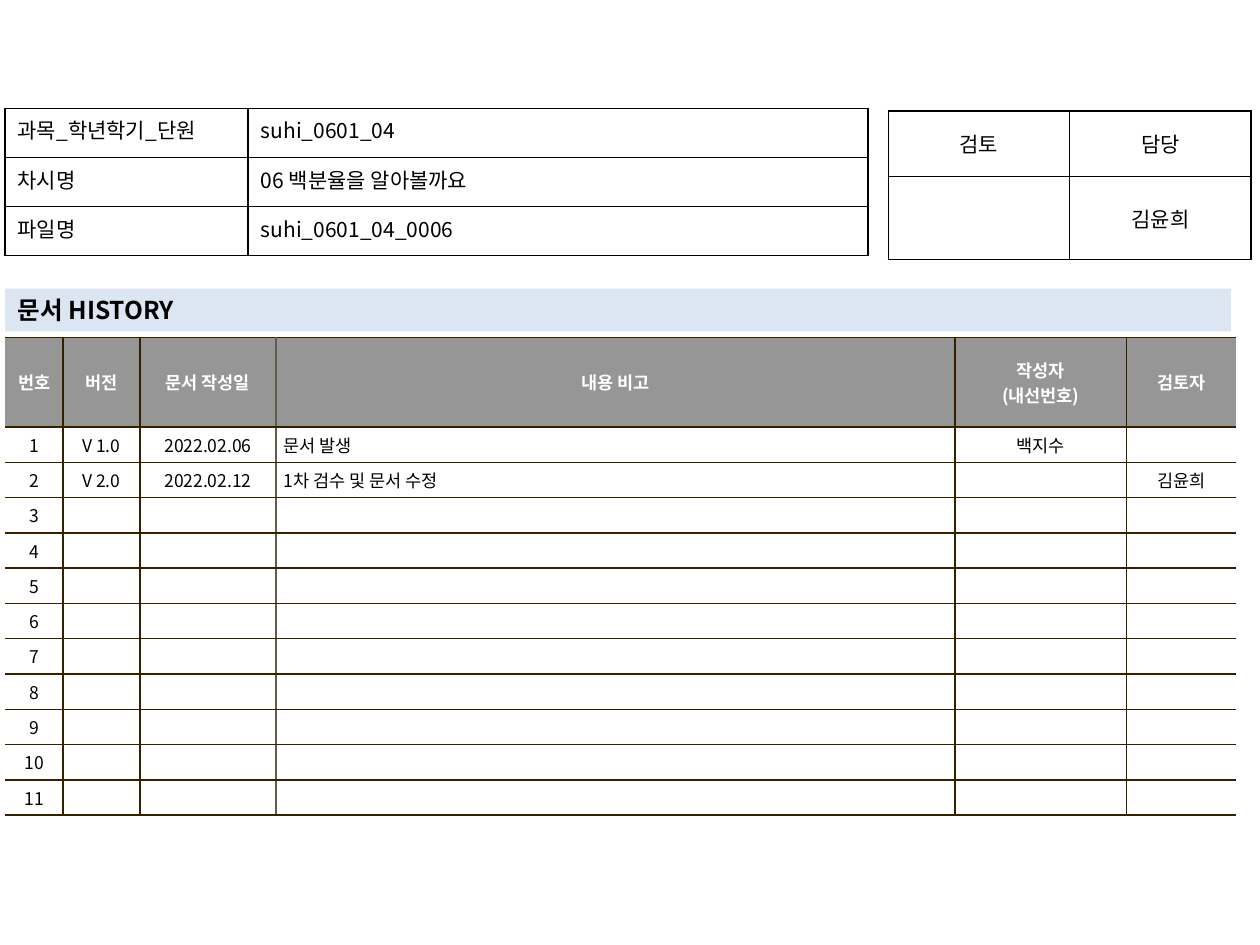
"""Build the document history slide with its info, review and history tables."""
from lxml import etree
from pptx import Presentation
from pptx.dml.color import RGBColor
from pptx.enum.text import MSO_ANCHOR, MSO_AUTO_SIZE, PP_ALIGN
from pptx.oxml.ns import qn
from pptx.util import Inches, Pt

LEFT, MID, JUST = PP_ALIGN.LEFT, PP_ALIGN.CENTER, PP_ALIGN.JUSTIFY
TOP, CENTER = MSO_ANCHOR.TOP, MSO_ANCHOR.MIDDLE
FIT = MSO_AUTO_SIZE.NONE
FONT = "Noto Sans CJK KR"
HUES = {"ink": "000000", "paper": "FFFFFF", "head": "969696",
        "band": "DCE6F2", "rule": "362000", "soft": "645B4C"}

TITLE = "문서 HISTORY"
INFO = [("과목_학년학기_단원", "suhi_0601_04"),
        ("차시명", "06 백분율을 알아볼까요"),
        ("파일명", "suhi_0601_04_0006")]
REVIEW = [("검토", "담당"), ("", "김윤희")]
HEADS = ("번호", "버전", "문서 작성일", "내용 비고", "작성자\n(내선번호)", "검토자")
NOTES = [("V 1.0", "2022.02.06", "문서 발생", "백지수", ""),
         ("V 2.0", "2022.02.12", "1차 검수 및 문서 수정", "", "김윤희")]
COUNT = 11
EDGE = 0.04


def rgb(hue):
    return RGBColor.from_string(HUES[hue])


def write(frame, text, size=12, hue="ink", bold=False, align=LEFT):
    for i, line in enumerate(text.split("\n")):
        para = frame.add_paragraph() if i else frame.paragraphs[0]
        para.alignment = align
        if not line:
            etree.SubElement(para._p, qn("a:endParaRPr"), sz=str(size * 100))
            continue
        run = para.add_run()
        run.text = line
        font = run.font
        font.size, font.bold, font.name = Pt(size), bold, FONT
        font.color.rgb = rgb(hue)
        etree.SubElement(run._r.get_or_add_rPr(), qn("a:ea"), typeface=FONT)


def border(cell, hues):
    for side, hue in zip("LRTB", hues):
        line = etree.SubElement(cell._tc.get_or_add_tcPr(),
                                qn("a:ln" + side), w=str(Pt(1)))
        if hue:
            fill = etree.SubElement(line, qn("a:solidFill"))
            etree.SubElement(fill, qn("a:srgbClr"), val=HUES[hue])
        else:
            etree.SubElement(line, qn("a:noFill"))


def grid(slide, rows, spot, wide, high, rules, pad, style):
    """Add a table; rules lists the hue of each upright line and then the level one."""
    shape = slide.shapes.add_table(len(rows), len(wide), *map(Inches, spot),
                                   Inches(sum(wide)), Inches(sum(high)))
    table = shape.table
    table.first_row = table.horz_banding = False
    for col, size in zip(table.columns, wide):
        col.width = Inches(size)
    for row, size in zip(table.rows, high):
        row.height = Inches(size)
    level = rules[-1]
    for r, row in enumerate(rows):
        for c, text in enumerate(row):
            cell = table.cell(r, c)
            look = style(r, c)
            fill, anchor = look.pop("fill", None), look.pop("anchor", CENTER)
            border(cell, (rules[c], rules[c + 1], level, level))
            if fill:
                cell.fill.solid()
                cell.fill.fore_color.rgb = rgb(fill)
            else:
                cell.fill.background()
            cell.vertical_anchor = anchor
            cell.margin_left = cell.margin_right = Inches(pad[0])
            cell.margin_top = cell.margin_bottom = Inches(pad[1])
            write(cell.text_frame, text, **look)


def info_look(r, c):
    return {"align": LEFT if c else JUST, "anchor": TOP}


def review_look(r, c):
    return {"align": MID}


def log_look(r, c):
    if r == 0:
        return {"size": 10, "hue": "paper", "bold": True, "align": MID, "fill": "head"}
    return {"size": 10, "align": LEFT if c == 3 else MID, "fill": "paper"}


def main():
    deck = Presentation()
    deck.slide_width, deck.slide_height = Inches(10), Inches(7.5)
    slide = deck.slides.add_slide(deck.slide_layouts[5])

    title = slide.shapes.title
    title.left, title.top = Inches(EDGE), Inches(2.29)
    title.width, title.height = Inches(9.73), Inches(0.34)
    title.fill.solid()
    title.fill.fore_color.rgb = rgb("band")
    frame = title.text_frame
    frame.auto_size, frame.vertical_anchor = FIT, CENTER
    write(frame, TITLE, size=14, bold=True)

    blank = ("",) * len(NOTES[0])
    notes = NOTES + [blank] * (COUNT - len(NOTES))
    log = [HEADS] + [(str(n), *note) for n, note in enumerate(notes, 1)]
    grid(slide, log, (EDGE, 2.68), (0.46, 0.61, 1.08, 5.39, 1.36, 0.87),
         [0.71] + [0.28] * COUNT,
         (None, "rule", "rule", "soft", "rule", "rule", None, "rule"),
         (0.06, 0.04), log_look)
    grid(slide, REVIEW, (7.05, 0.88), (1.44, 1.44), (0.52, 0.66),
         ("ink",) * 4, (0.1, 0.05), review_look)
    grid(slide, INFO, (EDGE, 0.86), (1.93, 4.92), (0.39,) * 3,
         ("ink",) * 4, (0.1, 0.05), info_look)
    deck.save("out.pptx")


if __name__ == "__main__":
    main()
